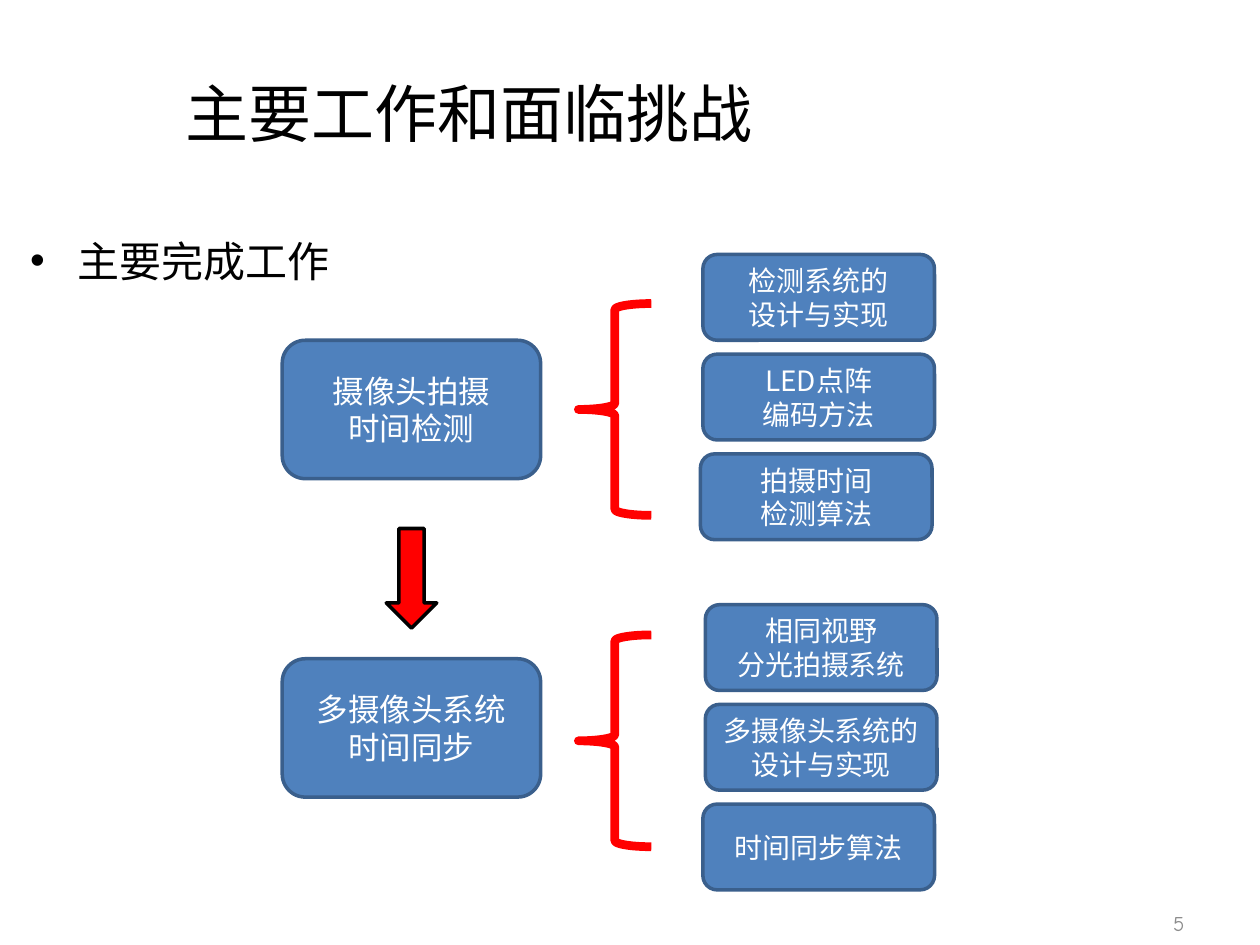
from lxml import etree
from pptx import Presentation
from pptx.dml.color import RGBColor
from pptx.enum.shapes import MSO_SHAPE
from pptx.enum.text import MSO_ANCHOR, PP_ALIGN
from pptx.oxml.ns import qn
from pptx.util import Cm, Pt

ROUND, BRACE, ARROW = MSO_SHAPE.ROUNDED_RECTANGLE, MSO_SHAPE.LEFT_BRACE, MSO_SHAPE.RIGHT_ARROW
LEFT, MID, RIGHT = PP_ALIGN.LEFT, PP_ALIGN.CENTER, PP_ALIGN.RIGHT
TOP, CENTER = MSO_ANCHOR.TOP, MSO_ANCHOR.MIDDLE
HAN, LATIN = "Noto Sans CJK SC", "Comic Neue"
BLUE, NAVY, RED = "4F81BD", "3A5F8C", "FF0000"
BLACK, WHITE, GREY = "000000", "FFFFFF", "8C8C8C"

TITLE = "主要工作和面临挑战"
POINT = "主要完成工作"
PAGE = "5"

# Each group: tops of task, brace and first step; task lines; steps as (left, lines)
GROUPS = [
    (6.86, 6.12, 5.13, ["摄像头拍摄", "时间检测"], [
        (14.17, ["检测系统的", "设计与实现"]),
        (14.17, ["LED点阵", "编码方法"]),
        (14.12, ["拍摄时间", "检测算法"]),
    ]),
    (13.28, 12.8, 12.19, ["多摄像头系统", "时间同步"], [
        (14.22, ["相同视野", "分光拍摄系统"]),
        (14.22, ["多摄像头系统的", "设计与实现"]),
        (14.17, ["时间同步算法"]),
    ]),
]
PITCH = 2.01


def color(code):
    return RGBColor.from_string(code)


def write(shape, lines, size, tint, align=LEFT, anchor=CENTER, font=HAN):
    frame = shape.text_frame
    frame.word_wrap = True
    frame.vertical_anchor = anchor
    for i, line in enumerate(lines):
        para = frame.add_paragraph() if i else frame.paragraphs[0]
        para.alignment = align
        run = para.add_run()
        run.text = line
        run.font.size = Pt(size)
        run.font.color.rgb = color(tint)
        run.font.name = font
        east = etree.SubElement(run.font._element, qn("a:ea"))
        east.set("typeface", font)
    return frame


def label(slide, box, *args, **opts):
    shape = slide.shapes.add_textbox(*map(Cm, box))
    return write(shape, *args, **opts)


def draw(slide, kind, box, fill, line, width=2):
    shape = slide.shapes.add_shape(kind, *map(Cm, box))
    shape.shadow.inherit = False
    shape.fill.solid()
    shape.fill.fore_color.rgb = color(fill)
    shape.line.color.rgb = color(line)
    shape.line.width = Pt(width)
    return shape


def card(slide, box, lines, size):
    write(draw(slide, ROUND, box, BLUE, NAVY), lines, size, WHITE, MID)


def bullet(para):
    para.line_spacing = 1.5
    para.space_before = Pt(5)
    props = para._p.get_or_add_pPr()
    props.set("marL", str(Cm(0.95)))
    props.set("indent", str(Cm(-0.95)))
    etree.SubElement(props, qn("a:buFont")).set("typeface", "Arial")
    etree.SubElement(props, qn("a:buChar")).set("char", "•")


def main():
    deck = Presentation()
    deck.slide_width, deck.slide_height = Cm(25.4), Cm(19.05)
    slide = deck.slides.add_slide(deck.slide_layouts[6])

    label(slide, (3.5, 0.43, 19.35, 3.68), [TITLE], 36, BLACK)
    body = label(slide, (0.36, 4.11, 23.06, 14.43), [POINT], 24, BLACK, anchor=TOP)
    bullet(body.paragraphs[0])
    label(slide, (18.21, 18.21, 5.92, 0.79), [PAGE], 12, GREY, RIGHT, font=LATIN)

    arrow = draw(slide, ARROW, (7.29, 11.15, 2.01, 1.02), RED, BLACK)
    arrow.rotation = 90

    for task_y, brace_y, step_y, task, steps in GROUPS:
        card(slide, (5.69, task_y, 5.21, 2.79), task, 18)
        for i, (x, lines) in enumerate(steps):
            card(slide, (x, step_y + i * PITCH, 4.67, 1.73), lines, 16)
        draw(slide, BRACE, (11.66, brace_y, 1.47, 4.27), WHITE, RED, 5)

    deck.save("out.pptx")


if __name__ == "__main__":
    main()
